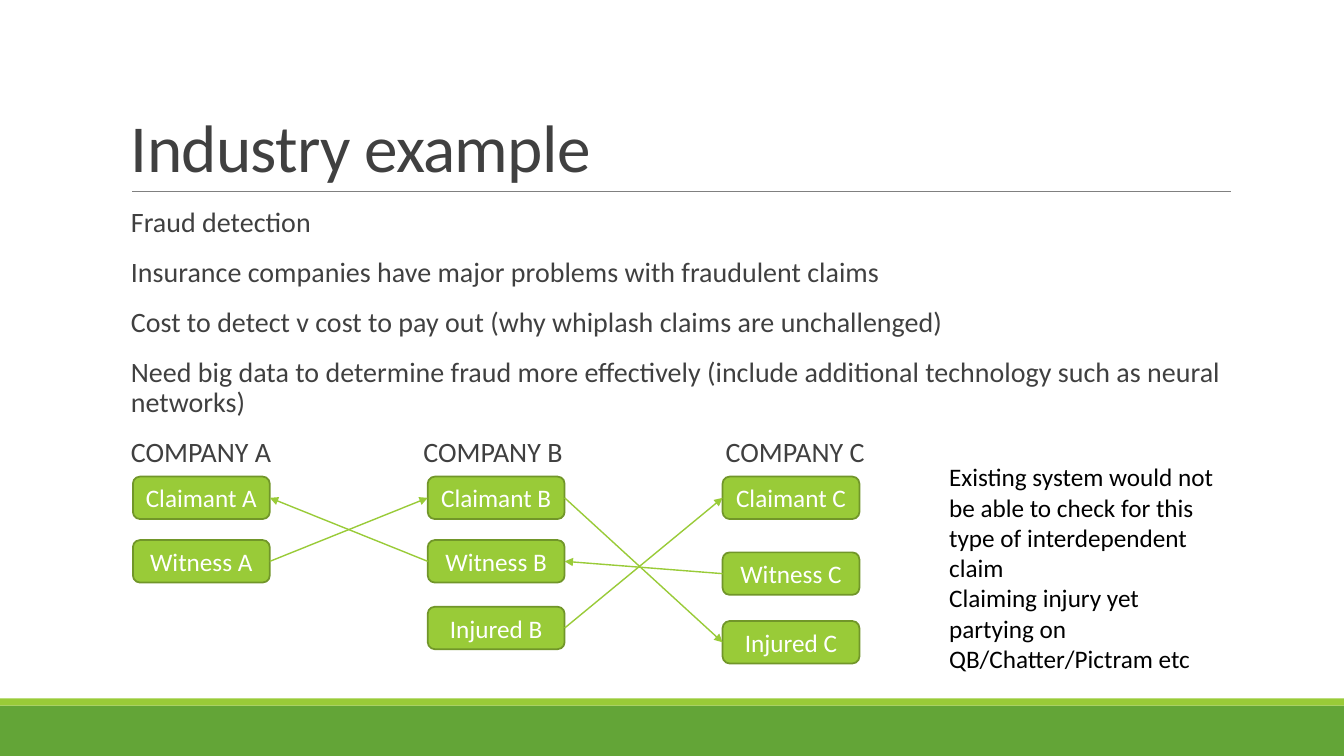
from dataclasses import dataclass

from lxml.etree import SubElement
from pptx import Presentation
from pptx.dml.color import RGBColor
from pptx.enum.shapes import MSO_CONNECTOR, MSO_SHAPE
from pptx.enum.text import MSO_ANCHOR, MSO_AUTO_SIZE, PP_ALIGN
from pptx.oxml.ns import qn
from pptx.util import Cm, Pt


@dataclass(frozen=True)
class Theme:
    font: str = "Calibri"
    lime: RGBColor = RGBColor(0x99, 0xCB, 0x38)
    lime_edge: RGBColor = RGBColor(0x71, 0x96, 0x29)
    green: RGBColor = RGBColor(0x63, 0xA5, 0x37)
    grey: RGBColor = RGBColor(0x80, 0x80, 0x80)
    dark: RGBColor = RGBColor(0x40, 0x40, 0x40)
    black: RGBColor = RGBColor(0, 0, 0)
    white: RGBColor = RGBColor(0xFF, 0xFF, 0xFF)
    title_size: int = 48
    body_size: int = 20
    label_size: int = 18


THEME = Theme()
LEFT_SITE, RIGHT_SITE = 1, 3
COLUMN_LEFT, COLUMN_PITCH = 3.35, 7.43
CARD_WIDTH, CARD_HEIGHT = 3.45, 1.07

BODY = [
    "Fraud detection",
    "Insurance companies have major problems with fraudulent claims",
    "Cost to detect v cost to pay out (why whiplash claims are unchallenged)",
    "Need big data to determine fraud more effectively "
    "(include additional technology such as neural networks)",
    "COMPANY A\tCOMPANY B\tCOMPANY C",
]
NOTE = [
    "Existing system would not be able to check for this type of interdependent claim",
    "Claiming injury yet partying on QB/Chatter/Pictram etc",
]
# Each company's people, with the top of each card in centimetres
COMPANIES = {
    "A": {"Claimant": 12.01, "Witness": 13.61},
    "B": {"Claimant": 12.01, "Witness": 13.61, "Injured": 15.29},
    "C": {"Claimant": 12.01, "Witness": 13.92, "Injured": 15.65},
}
LINKS = [
    ("Witness A", "Claimant B"),
    ("Witness B", "Claimant A"),
    ("Injured B", "Claimant C"),
    ("Witness C", "Witness B"),
    ("Claimant B", "Injured C"),
]


def write_text(frame, lines, *, size, color, align=PP_ALIGN.LEFT, anchor=MSO_ANCHOR.TOP,
               line_spacing=None, before=0, after=0, tracking=None):
    frame.word_wrap = True
    frame.vertical_anchor = anchor
    for index, line in enumerate(lines):
        para = frame.add_paragraph() if index else frame.paragraphs[0]
        para.alignment = align
        para.line_spacing = line_spacing
        para.space_before, para.space_after = Pt(before), Pt(after)
        span = para.add_run()
        span.text = line
        span.font.name, span.font.size = THEME.font, Pt(size)
        span.font.color.rgb = color
        if tracking is not None:
            span.font._element.set("spc", str(round(tracking * 100)))


def add_text_box(page, left, top, width, height, lines, **text_format):
    box = page.shapes.add_textbox(Cm(left), Cm(top), Cm(width), Cm(height))
    write_text(box.text_frame, lines, **text_format)
    return box


def set_tab_stops(para, *positions):
    stops = SubElement(para._p.get_or_add_pPr(), qn("a:tabLst"))
    for position in positions:
        SubElement(stops, qn("a:tab"), pos=str(Cm(position)), algn="l")


def add_block(page, kind, left, top, width, height, fill, edge=None):
    block = page.shapes.add_shape(kind, Cm(left), Cm(top), Cm(width), Cm(height))
    block.shadow.inherit = False
    block.fill.solid()
    block.fill.fore_color.rgb = fill
    if edge is None:
        block.line.fill.background()
    else:
        block.line.color.rgb = edge
        block.line.width = Pt(1.25)
    return block


def add_card(page, label, left, top):
    card = add_block(page, MSO_SHAPE.ROUNDED_RECTANGLE, left, top,
                     CARD_WIDTH, CARD_HEIGHT, THEME.lime, THEME.lime_edge)
    write_text(card.text_frame, [label], size=THEME.label_size, color=THEME.white,
               align=PP_ALIGN.CENTER, anchor=MSO_ANCHOR.MIDDLE)
    return card


def add_line(page, color, width, start=(0, 0), end=(0, 0)):
    line = page.shapes.add_connector(MSO_CONNECTOR.STRAIGHT, *map(Cm, start + end))
    line.line.color.rgb = color
    line.line.width = Pt(width)
    SubElement(line._element.spPr, qn("a:effectLst"))
    return line


def link_cards(page, source, target):
    """Draw an arrow between the facing sides of two cards."""
    arrow = add_line(page, THEME.lime, 1)
    rightward = source.left < target.left
    arrow.begin_connect(source, RIGHT_SITE if rightward else LEFT_SITE)
    arrow.end_connect(target, LEFT_SITE if rightward else RIGHT_SITE)
    SubElement(arrow.line._get_or_add_ln(), qn("a:tailEnd"), type="triangle")


def add_network(page):
    cards = {}
    for column, (company, people) in enumerate(COMPANIES.items()):
        for role, top in people.items():
            label = f"{role} {company}"
            cards[label] = add_card(page, label, COLUMN_LEFT + column * COLUMN_PITCH, top)
    for source, target in LINKS:
        link_cards(page, cards[source], cards[target])


def main():
    deck = Presentation()
    deck.slide_width, deck.slide_height = Cm(33.87), Cm(19.05)
    page = deck.slides.add_slide(deck.slide_layouts[6])

    add_block(page, MSO_SHAPE.RECTANGLE, 0, 17.78, 33.87, 1.27, THEME.green)
    add_block(page, MSO_SHAPE.RECTANGLE, 0, 17.6, 33.87, 0.18, THEME.lime)
    add_line(page, THEME.grey, 0.5, (3.33, 4.83), (31.01, 4.83))

    add_text_box(page, 3.05, 0.79, 27.94, 4.04, ["Industry example"],
                 size=THEME.title_size, color=THEME.dark, anchor=MSO_ANCHOR.BOTTOM,
                 line_spacing=0.85, tracking=-0.5)
    body = add_text_box(page, 3.3, 5.13, 27.69, 11.18, BODY,
                        size=THEME.body_size, color=THEME.dark,
                        line_spacing=0.9, before=12, after=2)
    body.text_frame.margin_left = body.text_frame.margin_right = 0
    set_tab_stops(body.text_frame.paragraphs[-1], 7.37, 14.99)

    add_network(page)
    note = add_text_box(page, 23.67, 11.51, 7.16, 5.64, NOTE,
                        size=THEME.label_size, color=THEME.black)
    note.text_frame.auto_size = MSO_AUTO_SIZE.SHAPE_TO_FIT_TEXT
    deck.save("out.pptx")


if __name__ == "__main__":
    main()
